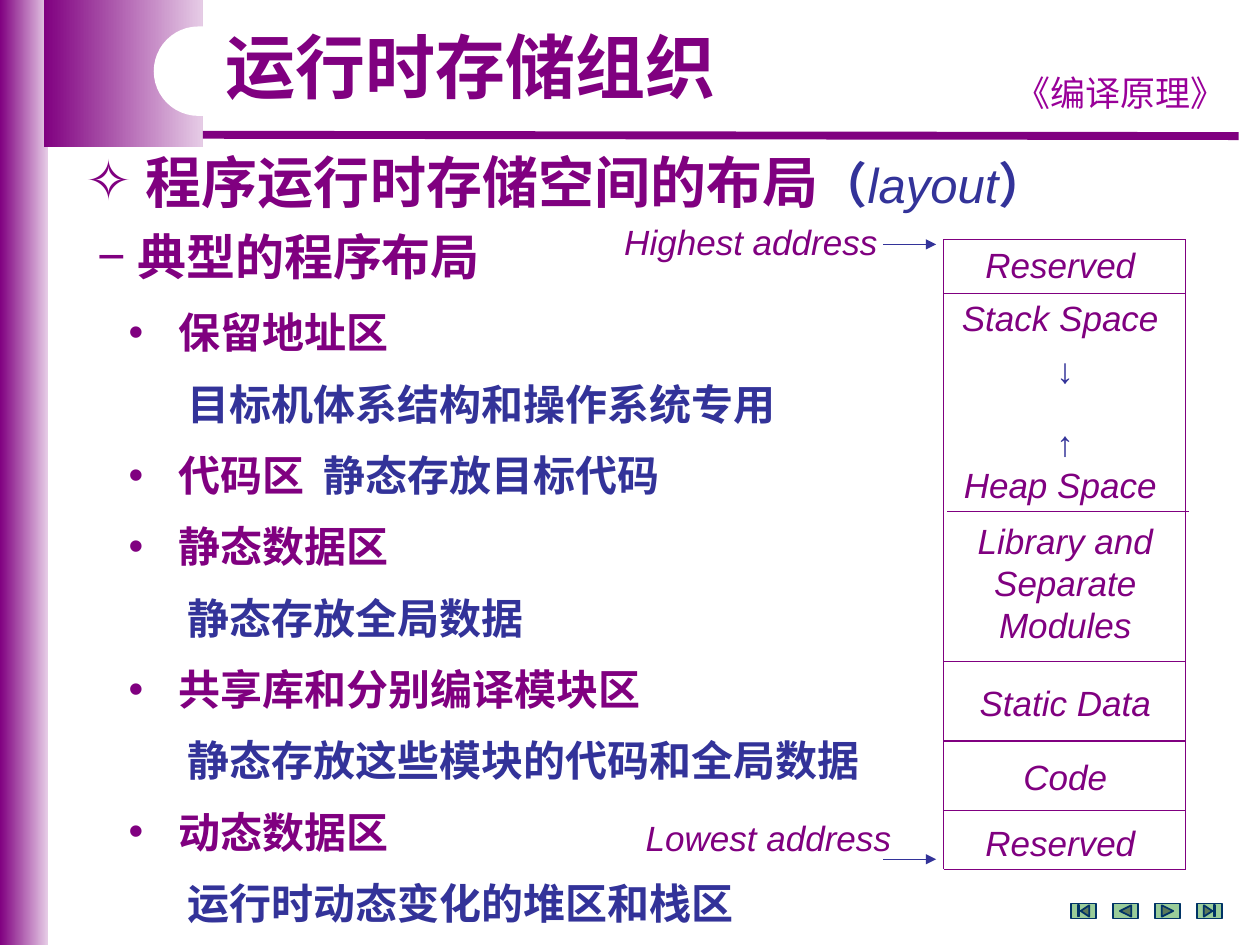
from dataclasses import dataclass

from lxml import etree
from pptx import Presentation
from pptx import util as u
from pptx.dml.color import RGBColor
from pptx.enum import shapes, text
from pptx.oxml.ns import qn

IN = u.Inches
SHAPE = shapes.MSO_SHAPE
ALIGN = text.PP_ALIGN


@dataclass(frozen=True)
class Theme:
    purple: str = "800080"
    pale: str = "E6CCE6"
    blue: str = "333399"
    violet: str = "990099"
    green: str = "99CC99"
    teal: str = "003366"
    white: str = "FFFFFF"
    latin: str = "Arial"
    cjk: str = "Noto Sans CJK SC"
    title: int = 40
    heading: int = 32
    topic: int = 28
    item: int = 24
    label: int = 20
    item_gap: int = 12


class Deck:
    """Holds the theme and the slide being drawn."""

    def __init__(self, theme):
        self.t = theme
        self.prs = Presentation()
        self.prs.slide_width, self.prs.slide_height = IN(10), IN(7.5)
        self.s = self.prs.slides.add_slide(self.prs.slide_layouts[1])

    def shape(self, kind, x, y, w, h, fill, line=None):
        sp = self.s.shapes.add_shape(kind, IN(x), IN(y), IN(w), IN(h))
        sp.shadow.inherit = False
        sp.fill.solid()
        sp.fill.fore_color.rgb = RGBColor.from_string(fill)
        if line:
            sp.line.color.rgb = RGBColor.from_string(line)
            sp.line.width = u.Pt(1)
        else:
            sp.line.fill.background()
        return sp

    def gradient_bar(self, x, y, w, h):
        sp = self.shape(SHAPE.RECTANGLE, x, y, w, h, self.t.purple)
        sp.fill.gradient()
        sp.fill.gradient_angle = 0
        for stop, color in zip(sp.fill.gradient_stops, (self.t.purple, self.t.pale)):
            stop.color.rgb = RGBColor.from_string(color)

    def line(self, x1, y1, x2, y2, color, width=0.75, arrow=False):
        cx = self.s.shapes.add_connector(
            shapes.MSO_CONNECTOR.STRAIGHT, IN(x1), IN(y1), IN(x2), IN(y2))
        cx.line.color.rgb = RGBColor.from_string(color)
        cx.line.width = u.Pt(width)
        spPr = cx.element.spPr
        if arrow:
            etree.SubElement(spPr.find(qn("a:ln")), qn("a:tailEnd"), type="triangle")
        etree.SubElement(spPr, qn("a:effectLst"))

    def textbox(self, x, y, w, h):
        tf = self.s.shapes.add_textbox(IN(x), IN(y), IN(w), IN(h)).text_frame
        tf.word_wrap = True
        return tf

    def placeholder(self, idx, x, y, w, h, anchor):
        """Move a template placeholder in front of the shapes drawn so far."""
        sp = self.s.placeholders[idx]
        sp.left, sp.top, sp.width, sp.height = IN(x), IN(y), IN(w), IN(h)
        self.s.shapes.element.append(sp.element)
        tf = sp.text_frame
        tf.word_wrap, tf.auto_size = True, text.MSO_AUTO_SIZE.NONE
        tf.vertical_anchor = anchor
        return tf

    def paragraph(self, tf, first=False, align=ALIGN.LEFT, before=0, spacing=1.0):
        p = tf.paragraphs[0] if first else tf.add_paragraph()
        p.alignment = align
        p.line_spacing, p.space_before, p.space_after = spacing, u.Pt(before), u.Pt(0)
        return p

    def run(self, p, words, size, color, bold=False, italic=False, font=None, track=0):
        """Add a run; track is extra letter spacing in points."""
        r = p.add_run()
        r.text = words
        f = r.font
        f.size, f.bold, f.italic = u.Pt(size), bold, italic
        f.name = font or self.t.latin
        f.color.rgb = RGBColor.from_string(color)
        rPr = r._r.get_or_add_rPr()
        etree.SubElement(rPr, qn("a:ea"), typeface=self.t.cjk)
        if track:
            rPr.set("spc", str(track * 100))

    def bullet(self, p, char, margin, hang=0):
        """Set the indent and the bullet; char None means no bullet."""
        pPr = p._p.get_or_add_pPr()
        pPr.set("marL", str(IN(margin)))
        pPr.set("indent", str(-IN(hang)))
        if char is None:
            etree.SubElement(pPr, qn("a:buNone"))
            return
        clr = etree.SubElement(pPr, qn("a:buClr"))
        etree.SubElement(clr, qn("a:srgbClr"), val=self.t.purple)
        etree.SubElement(pPr, qn("a:buFont"), typeface=self.t.latin)
        etree.SubElement(pPr, qn("a:buChar"), char=char)

    def item(self, tf, char, margin, hang=0):
        p = self.paragraph(tf, before=self.t.item_gap)
        p.level = 1
        self.bullet(p, char, margin, hang)
        return p

    def label(self, x, y, w, h, *words):
        """Centred label; the arrows in it are upright, bold and blue."""
        tf = self.textbox(x, y, w, h)
        for i, word in enumerate(words):
            arrow = word.strip() in "↓↑"
            p = self.paragraph(tf, i == 0, ALIGN.CENTER, 6 if arrow and i else 0)
            self.run(p, word, self.t.label, self.t.blue if arrow else self.t.purple,
                     bold=arrow, italic=not arrow)


def frame(d):
    t = d.t
    d.gradient_bar(0, 0, 0.38, 7.5)
    d.gradient_bar(0.35, 0, 1.26, 1.17)
    d.line(1.61, 1.07, 9.83, 1.08, t.purple, 4.5)
    p = d.paragraph(d.textbox(7.91, 0.52, 1.97, 0.43), True, ALIGN.CENTER)
    d.run(p, "《编译原理》", t.label, t.violet, font=t.cjk)
    pill = d.shape(SHAPE.ROUNDED_RECTANGLE, 1.22, 0.21, 3.62, 0.71, t.white)
    pill.adjustments[0] = 0.5
    buttons = (SHAPE.ACTION_BUTTON_BEGINNING, SHAPE.ACTION_BUTTON_BACK_OR_PREVIOUS,
               SHAPE.ACTION_BUTTON_FORWARD_OR_NEXT, SHAPE.ACTION_BUTTON_END)
    for i, kind in enumerate(buttons):
        d.shape(kind, 8.5 + i / 3, 7.17, 0.2, 0.12, t.green, t.teal)


def outline(d):
    t = d.t
    tf = d.placeholder(0, 1.69, 0.21, 4.14, 0.7, text.MSO_ANCHOR.MIDDLE)
    p = d.paragraph(tf, True, spacing=0.9)
    d.run(p, "运行时存储组织", t.title, t.purple, bold=True)

    p = d.paragraph(d.textbox(0.58, 1.12, 8.35, 0.63), True)
    d.bullet(p, "✧", 0.48, 0.48)
    d.run(p, "程序运行时存储空间的布局", t.heading, t.purple, bold=True)
    d.run(p, "（", t.topic, t.blue, bold=True)
    d.run(p, "layout", t.topic, t.blue, italic=True)
    d.run(p, "）", t.topic, t.blue, bold=True)

    tf = d.placeholder(1, 0.67, 1.75, 6.38, 5.72, text.MSO_ANCHOR.TOP)
    p = d.paragraph(tf, True)
    d.bullet(p, "−", 0.32, 0.32)
    d.run(p, "典型的程序布局", t.topic, t.purple, bold=True)

    areas = (("保留地址区", "目标机体系结构和操作系统专用", False),
             ("代码区", "静态存放目标代码", True),
             ("静态数据区", "静态存放全局数据", False),
             ("共享库和分别编译模块区", "静态存放这些模块的代码和全局数据", False),
             ("动态数据区", "运行时动态变化的堆区和栈区", False))
    for name, detail, same_line in areas:
        p = d.item(tf, "•", 0.65, 0.4)
        d.run(p, name, t.item, t.purple, bold=True)
        if same_line:
            d.run(p, " ", t.item, t.purple, bold=True, track=5)
        else:
            p = d.item(tf, None, 0.72)
        d.run(p, detail, t.item, t.blue, bold=True)


def memory_map(d):
    t = d.t
    left, right, top, bottom = 7.49, 9.41, 1.9, 6.9
    for x in (left, right):
        d.line(x, top, x, bottom, t.purple)
    for y in (top, 2.33, 5.25, 5.88, 6.43, bottom):
        d.line(left, y, right, y, t.purple)
    d.line(left + 0.03, 4.06, right + 0.03, 4.06, t.purple)

    d.label(7.54, 1.88, 1.75, 0.43, "Reserved")
    d.label(7.5, 2.3, 1.83, 0.85, "Stack Space", " ↓")
    d.label(7.5, 3.3, 1.83, 0.77, " ↑", "Heap Space")
    d.label(7.58, 4.07, 1.75, 1.1, "Library and Separate Modules")
    d.label(7.58, 5.36, 1.75, 0.43, "Static Data")
    d.label(7.58, 5.95, 1.75, 0.43, "Code")
    d.label(7.54, 6.47, 1.75, 0.43, "Reserved")

    d.label(4.8, 1.7, 2.32, 0.43, "Highest address")
    d.label(5, 6.43, 2.2, 0.43, "Lowest address")
    for y in (1.94, 6.82):
        d.line(7.01, y, 7.43, y, t.blue, arrow=True)


def main():
    d = Deck(Theme())
    frame(d)
    outline(d)
    memory_map(d)
    d.prs.save("out.pptx")


if __name__ == "__main__":
    main()
